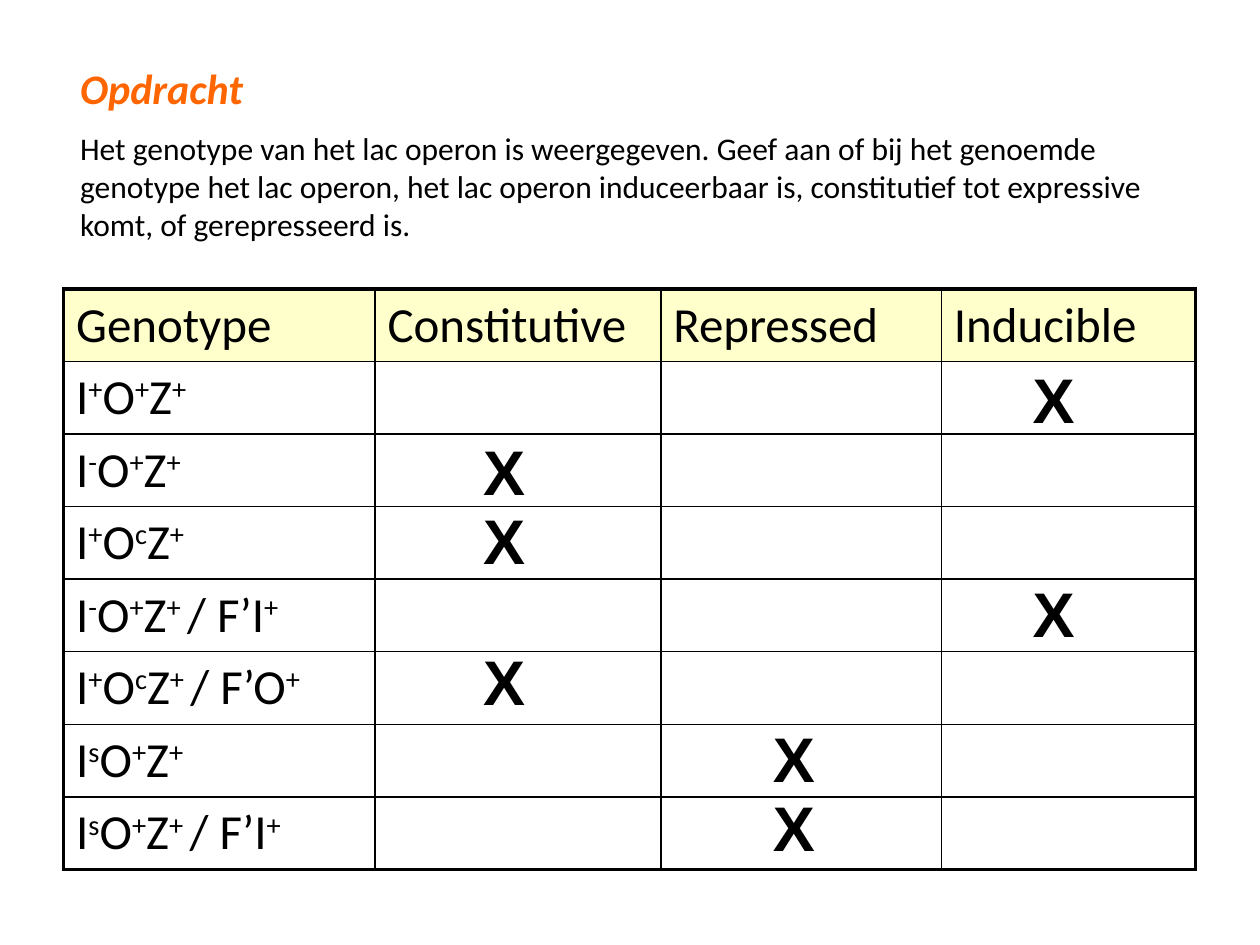
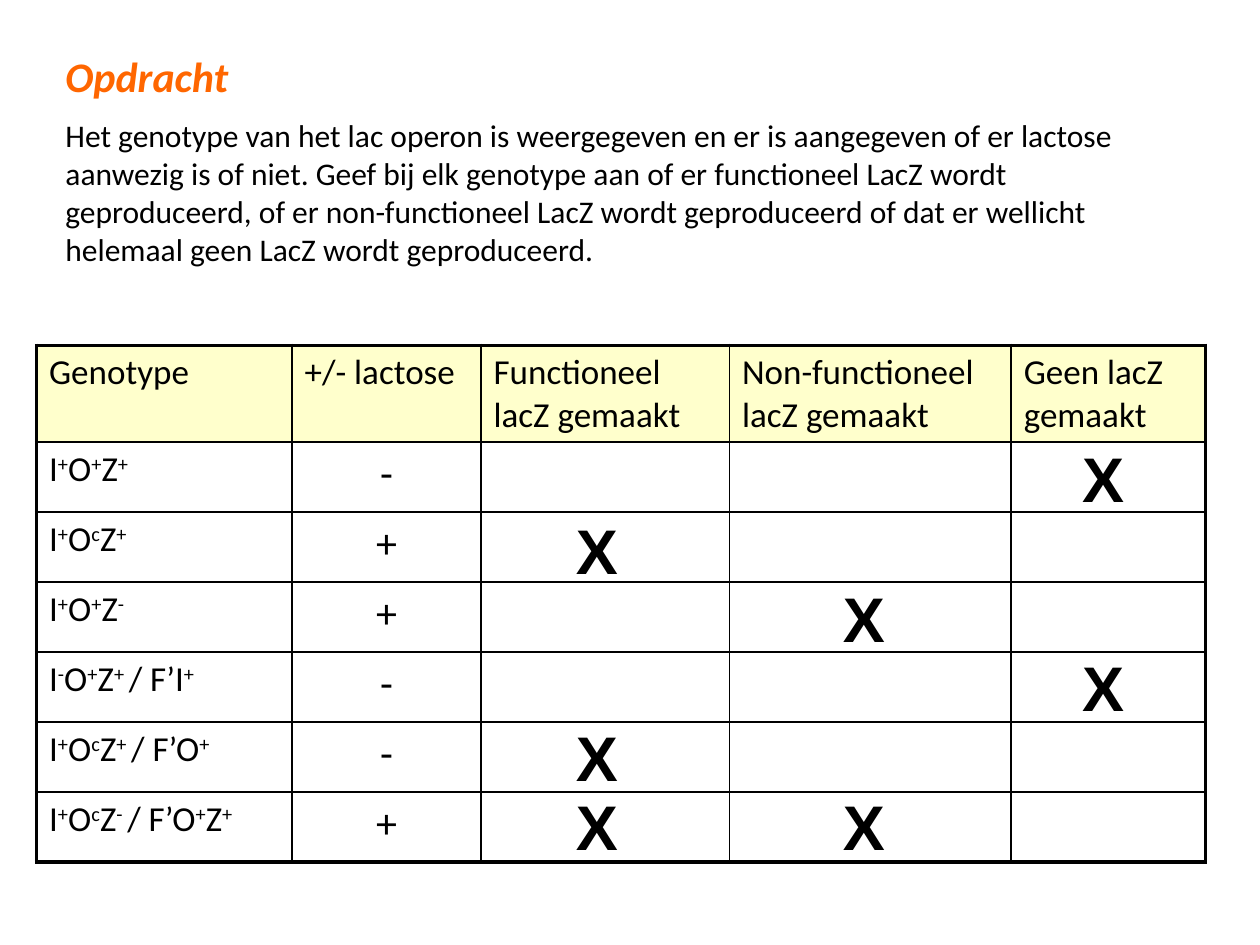
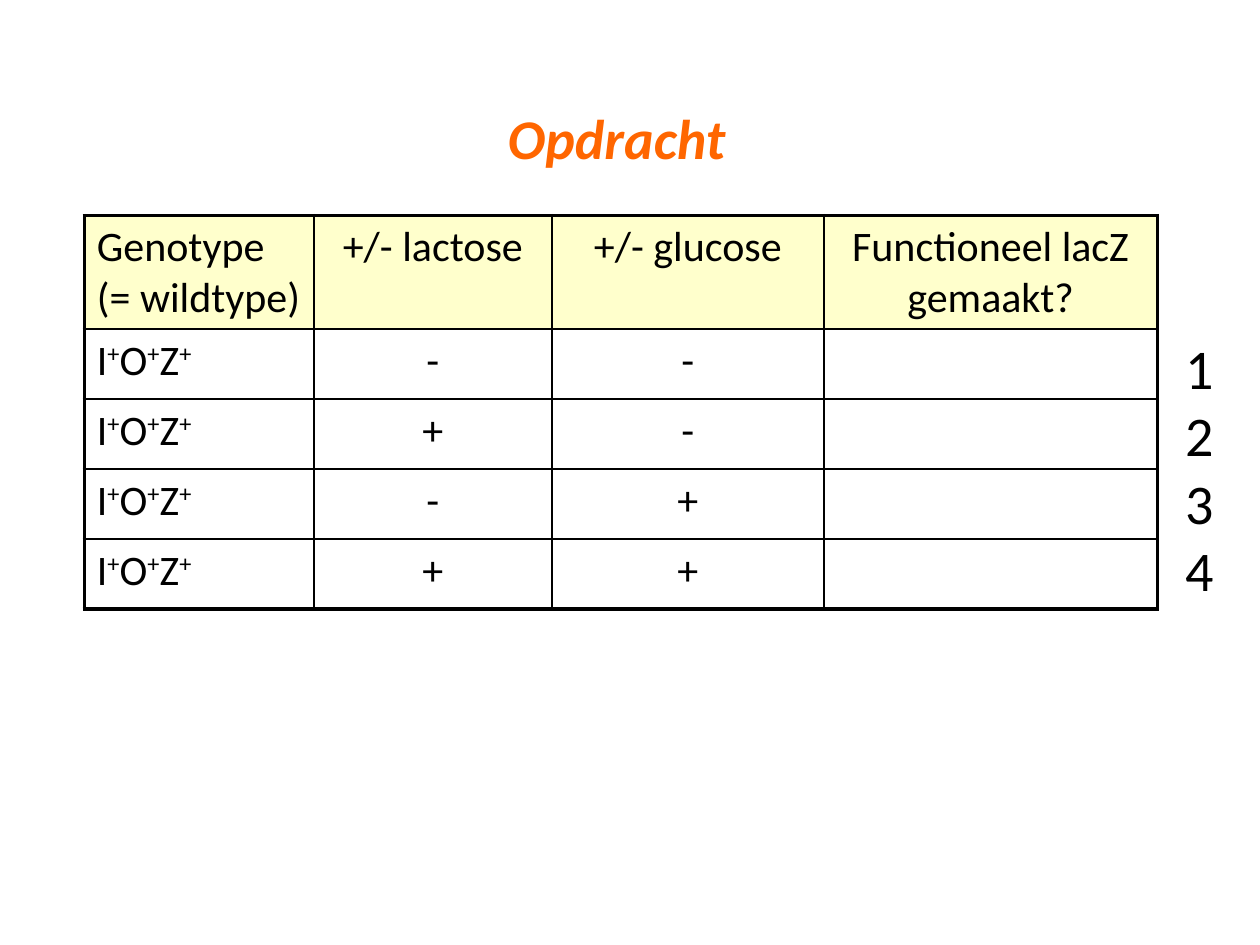
from dataclasses import dataclass

from lxml import etree
from pptx import Presentation
from pptx.dml.color import RGBColor
from pptx.enum.text import MSO_AUTO_SIZE, PP_ALIGN
from pptx.oxml.ns import qn
from pptx.util import Pt

LEFT, CENTER = PP_ALIGN.LEFT, PP_ALIGN.CENTER
FIT_SHAPE = MSO_AUTO_SIZE.SHAPE_TO_FIT_TEXT
BLANK_LAYOUT = 6


@dataclass(frozen=True)
class Theme:
    ink: str = "000000"
    accent: str = "FF6600"
    header: str = "FFFFCC"
    font: str = "Calibri"
    mark_font: str = "Arial"
    body: int = 18
    small: int = 20
    medium: int = 24
    large: int = 28
    display: int = 32
    mark: int = 36
    thin: float = 1
    thick: float = 2.25


THEME = Theme()


class Deck:
    def __init__(self, theme):
        self.theme = theme
        self.prs = Presentation()
        self.prs.slide_width, self.prs.slide_height = Pt(720), Pt(540)
        self.slide = None

    def add_slide(self):
        self.slide = self.prs.slides.add_slide(self.prs.slide_layouts[BLANK_LAYOUT])

    def run(self, paragraph, text, size, color=None, font=None, bold=False, italic=False):
        run = paragraph.add_run()
        run.text = text
        run.font.size = Pt(size)
        run.font.name = font or self.theme.font
        run.font.bold, run.font.italic = bold, italic
        run.font.color.rgb = RGBColor.from_string(color or self.theme.ink)
        return run

    def genotype(self, paragraph, text, size):
        """Write text in which ^ raises the next letter and any space after it."""
        base, *raised_parts = text.split("^")
        self.run(paragraph, base, size)
        for part in raised_parts:
            end = 2 if part[1:2] == " " else 1
            raised = self.run(paragraph, part[:end], size)
            raised._r.get_or_add_rPr().set("baseline", "30000")
            if part[end:]:
                self.run(paragraph, part[end:], size)

    def text_frame(self, left, top, width, height):
        box = self.slide.shapes.add_textbox(Pt(left), Pt(top), Pt(width), Pt(height))
        frame = box.text_frame
        frame.word_wrap = True
        frame.auto_size = FIT_SHAPE
        return frame

    def heading(self, paragraph, size):
        self.run(paragraph, "Opdracht", size, self.theme.accent, bold=True, italic=True)

    def assignment(self, left, top, width, height, question):
        frame = self.text_frame(left, top, width, height)
        self.heading(frame.paragraphs[0], self.theme.medium)
        body = frame.add_paragraph()
        body.space_before = Pt(9)
        self.run(body, question, self.theme.body)

    def centered_heading(self, left, top, width, height):
        paragraph = self.text_frame(left, top, width, height).paragraphs[0]
        paragraph.alignment = CENTER
        self.heading(paragraph, self.theme.display)

    def marks(self, tops_by_left):
        for left, tops in tops_by_left.items():
            for top in tops:
                paragraph = self.text_frame(left, top, 44.6, 50.4).paragraphs[0]
                self.run(paragraph, "X", self.theme.mark,
                         font=self.theme.mark_font, bold=True)

    def row_numbers(self, left, top, width, height, count):
        frame = self.text_frame(left, top, width, height)
        for number in range(1, count + 1):
            paragraph = frame.paragraphs[0] if number == 1 else frame.add_paragraph()
            self.run(paragraph, str(number), self.theme.display)

    def borders(self, cell, outer):
        """Draw four cell borders, thick on the sides that lie on the table's edge."""
        properties = cell._tc.get_or_add_tcPr()
        for side in "LRTB":
            width = self.theme.thick if side in outer else self.theme.thin
            line = etree.SubElement(properties, qn(f"a:ln{side}"), w=str(Pt(width)))
            fill = etree.SubElement(line, qn("a:solidFill"))
            etree.SubElement(fill, qn("a:srgbClr"), val=self.theme.ink)

    def table(self, left, top, widths, header_height, row_height, rows,
              size, sign_size=None, header_align=LEFT):
        """Add a table whose first column holds genotypes and the next ones signs."""
        heights = [header_height] + [row_height] * (len(rows) - 1)
        frame = self.slide.shapes.add_table(
            len(rows), len(widths), Pt(left), Pt(top), Pt(sum(widths)), Pt(sum(heights)))
        table = frame.table
        table.first_row = table.horz_banding = False
        for column, width in zip(table.columns, widths):
            column.width = Pt(width)
        for row, height in zip(table.rows, heights):
            row.height = Pt(height)

        last_row, last_column = len(rows) - 1, len(widths) - 1
        for r, texts in enumerate(rows):
            for c in range(len(widths)):
                cell = table.cell(r, c)
                edges = {"L": c == 0, "R": c == last_column,
                         "T": r == 0, "B": r == last_row}
                self.borders(cell, [side for side, outer in edges.items() if outer])
                if r == 0:
                    cell.fill.solid()
                    cell.fill.fore_color.rgb = RGBColor.from_string(self.theme.header)
                else:
                    cell.fill.background()
                if c < len(texts):
                    paragraph = cell.text_frame.paragraphs[0]
                    if c > 0:
                        paragraph.alignment = CENTER if r else header_align
                    is_sign = r > 0 and c > 0
                    self.genotype(paragraph, texts[c],
                                  sign_size if is_sign and sign_size else size)


def expression_slide(deck):
    deck.add_slide()
    deck.table(36.3, 165.2, [178, 163.3, 160.3, 145.2], 40.8, 40.8, [
        ["Genotype", "Constitutive", "Repressed", "Inducible"],
        ["I^+O^+Z^+"],
        ["I^-O^+Z^+"],
        ["I^+O^cZ^+"],
        ["I^-O^+Z^+ / F’I^+"],
        ["I^+O^cZ^+ / F’O^+"],
        ["I^sO^+Z^+"],
        ["I^sO^+Z^+ / F’I^+"],
    ], THEME.large)
    deck.assignment(
        38.7, 32.4, 642.2, 113,
        "Het genotype van het lac operon is weergegeven. Geef aan of bij het genoemde "
        "genotype het lac operon, het lac operon induceerbaar is, constitutief tot "
        "expressive komt, of gerepresseerd is.")
    deck.marks({269: [243.5, 283, 363.5], 434.5: [407.5, 447], 583: [202.5, 325]})


def lactose_slide(deck):
    deck.add_slide()
    deck.table(20.9, 197.3, [146, 108, 142, 161, 111], 55.2, 40, [
        ["Genotype", "+/- lactose", "Functioneel lacZ gemaakt",
         "Non-functioneel lacZ gemaakt", "Geen lacZ gemaakt"],
        ["I^+O^+Z^+", "-"],
        ["I^+O^cZ^+", "+"],
        ["I^+O^+Z^-", "+"],
        ["I^-O^+Z^+ / F’I^+", "-"],
        ["I^+O^cZ^+ / F’O^+", "-"],
        ["I^+O^cZ^- / F’O^+Z^+", "+"],
    ], THEME.small, sign_size=THEME.medium)
    deck.assignment(
        30.3, 25.2, 644.4, 141.8,
        "Het genotype van het lac operon is weergegeven en er is aangegeven of er lactose "
        "aanwezig is of niet. Geef bij elk genotype aan of er functioneel LacZ wordt "
        "geproduceerd, of er non-functioneel LacZ wordt geproduceerd of dat er wellicht "
        "helemaal geen LacZ wordt geproduceerd.")
    deck.marks({322: [288.7, 406.8, 446.4], 474.5: [327.6, 446.4], 611.3: [247.7, 367.2]})


def glucose_slide(deck):
    wildtype = "I^+O^+Z^+"
    deck.add_slide()
    deck.table(48.2, 123.1, [131.2, 136, 155.5, 190.5], 65, 40, [
        ["Genotype (= wildtype)", "+/- lactose", "+/- glucose", "Functioneel lacZ gemaakt?"],
        *([wildtype, lactose, glucose] for glucose in "-+" for lactose in "-+"),
    ], THEME.medium, header_align=CENTER)
    deck.centered_heading(107.3, 55.4, 490.3, 46)
    deck.row_numbers(670.3, 187.2, 31, 162.7, 4)


def main():
    deck = Deck(THEME)
    expression_slide(deck)
    lactose_slide(deck)
    glucose_slide(deck)
    deck.prs.save("out.pptx")


if __name__ == "__main__":
    main()
